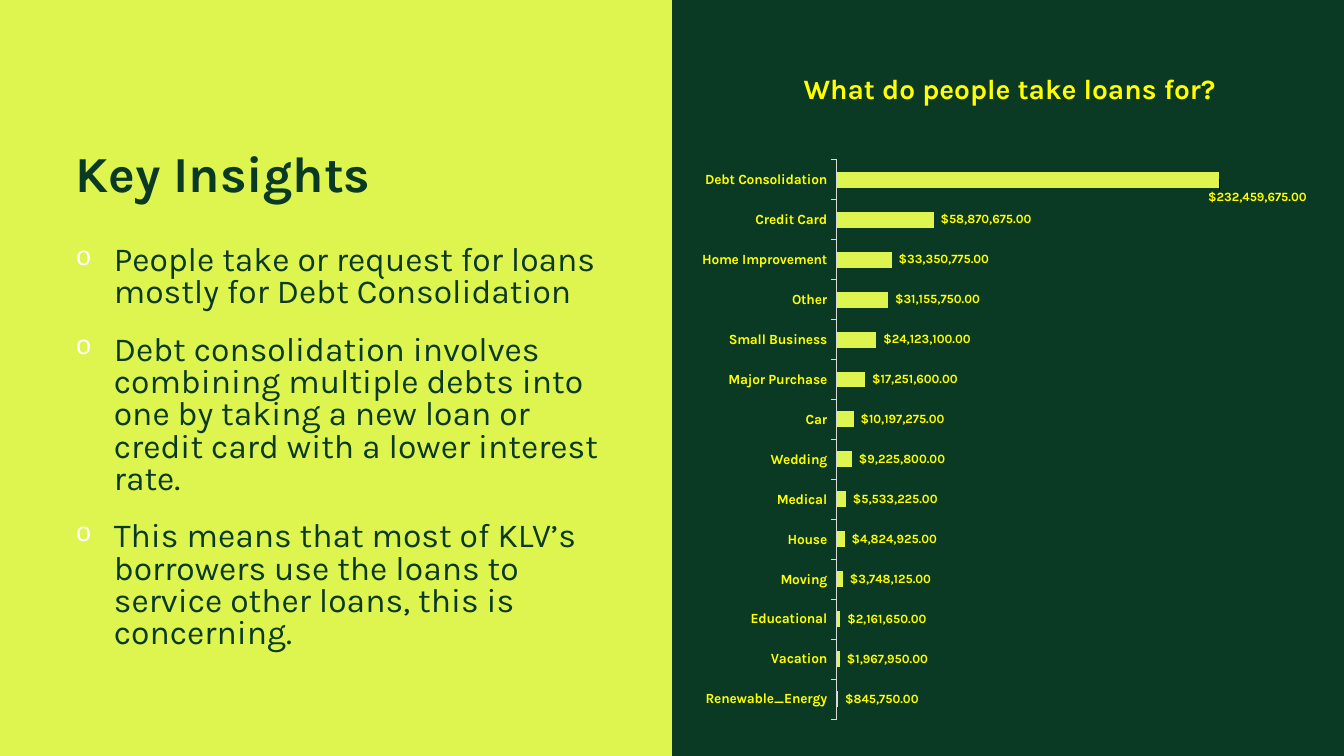
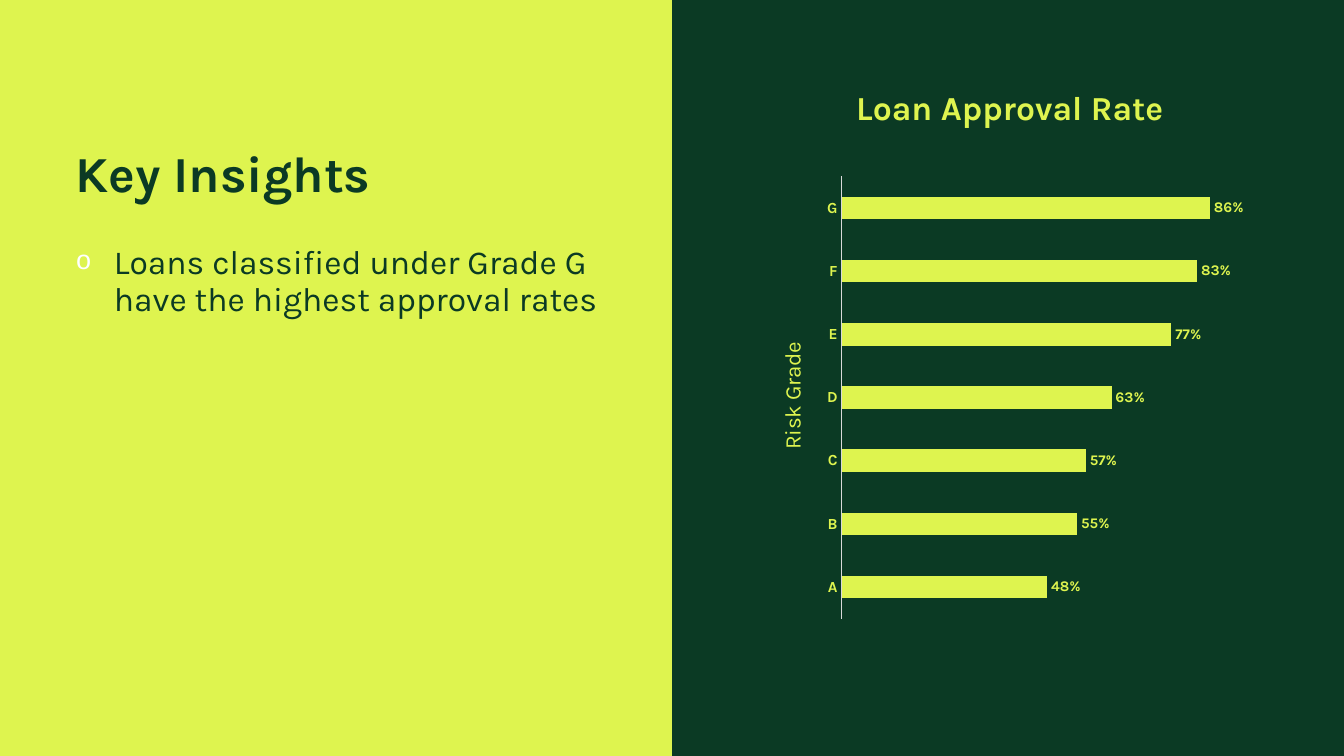
from dataclasses import dataclass

import pptx
import pptx.chart.data
import pptx.dml.color
import pptx.enum.chart
import pptx.enum.shapes
import pptx.enum.text
import pptx.oxml
import pptx.oxml.ns
import pptx.util
from pptx.util import Inches, Pt

Box = tuple[float, float, float, float]
CENTER = pptx.enum.text.PP_ALIGN.CENTER
LEFT = pptx.enum.text.PP_ALIGN.LEFT
ANCHOR = pptx.enum.text.MSO_ANCHOR
OUT_END = pptx.enum.chart.XL_LABEL_POSITION.OUTSIDE_END
TICK = pptx.enum.chart.XL_TICK_MARK


@dataclass(frozen=True)
class Theme:
    font: str = "Karla"
    dark: str = "0B3A24"
    lime: str = "DEF44F"
    yellow: str = "FFFF00"
    white: str = "FFFFFF"
    rule: str = "D9D9D9"
    title: float = 36
    body: float = 24
    axis: float = 16


@dataclass(frozen=True)
class Style:
    size: float
    color: str
    bold: bool = False


@dataclass(frozen=True)
class Nudge:
    """Moves one point's label by fractions of the chart size."""
    point: int
    x: float
    y: float


@dataclass(frozen=True)
class Bars:
    box: Box
    plot: Box
    rows: dict[str, float]
    top: float
    gap: int
    form: str
    tick: TICK
    names: Style
    values: Style
    axis: str = ""
    nudge: Nudge | None = None


@dataclass(frozen=True)
class Page:
    points: list[str]
    space: float
    head: str
    head_box: Box
    head_style: Style
    bars: Bars


THEME = Theme()
MONEY = '_("$"* #,##0.00_);_("$"* \\(#,##0.00\\)'

PAGES = [
    Page(
        points=[
            "People take or request for loans mostly for Debt Consolidation",
            "Debt consolidation involves combining multiple debts into one by "
            "taking a new loan or credit card with a lower interest rate.",
            "This means that most of KLV’s borrowers use the loans to service "
            "other loans, this is concerning.",
        ],
        space=0.8,
        head="What do people take loans for?",
        head_box=(7.33, 0.13, 5.37, 1.53),
        head_style=Style(20, THEME.yellow, True),
        bars=Bars(
            box=(6.94, 1.47, 6.05, 5.78),
            plot=(0.23, 0.02, 0.69, 0.96),
            rows={
                "Renewable_Energy": 845750,
                "Vacation": 1967950,
                "Educational": 2161650,
                "Moving": 3748125,
                "House": 4824925,
                "Medical": 5533225,
                "Wedding": 9225800,
                "Car": 10197275,
                "Major Purchase": 17251600,
                "Small Business": 24123100,
                "Other": 31155750,
                "Home Improvement": 33350775,
                "Credit Card": 58870675,
                "Debt Consolidation": 232459675,
            },
            top=250_000_000,
            gap=150,
            form=MONEY,
            tick=TICK.OUTSIDE,
            names=Style(10, THEME.yellow, True),
            values=Style(9, THEME.yellow, True),
            nudge=Nudge(13, -0.03, 0.03),
        ),
    ),
    Page(
        points=["Loans classified under Grade G have the highest approval rates"],
        space=0.9,
        head="Loan Approval Rate",
        head_box=(7.33, 0.52, 5.37, 1.14),
        head_style=Style(24, THEME.lime, True),
        bars=Bars(
            box=(7.52, 1.66, 5.18, 4.57),
            plot=(0.16, 0.02, 0.82, 0.96),
            rows={"A": 0.48, "B": 0.55, "C": 0.57, "D": 0.63,
                  "E": 0.77, "F": 0.83, "G": 0.86},
            top=1,
            gap=182,
            form="0%",
            tick=TICK.NONE,
            names=Style(11, THEME.lime, True),
            values=Style(10.5, THEME.lime, True),
            axis="Risk Grade",
        ),
    ),
]


def rgb(color: str) -> pptx.dml.color.RGBColor:
    return pptx.dml.color.RGBColor.from_string(color)


def inches(box: Box) -> list[pptx.util.Length]:
    return [Inches(side) for side in box]


def paint(fill, color: str) -> None:
    fill.solid()
    fill.fore_color.rgb = rgb(color)


def dress(font, style: Style) -> None:
    font.name = THEME.font
    font.size = Pt(style.size)
    font.bold = style.bold
    font.color.rgb = rgb(style.color)


def frame(shape, anchor: ANCHOR):
    """Strip the margins of a text shape and let it wrap."""
    text = shape.text_frame
    text.margin_left = text.margin_top = text.margin_right = text.margin_bottom = 0
    text.word_wrap = True
    text.auto_size = pptx.enum.text.MSO_AUTO_SIZE.NONE
    text.vertical_anchor = anchor
    return text


def write(para, words: str, style: Style, space: float = 0.9,
          before: float = 0, align=LEFT) -> None:
    para.alignment = align
    para.line_spacing = space
    para.space_before = Pt(before)
    run = para.add_run()
    run.text = words
    dress(run.font, style)


def bullet(para) -> None:
    props = para._p.get_or_add_pPr()
    props.set("marL", str(Inches(0.38)))
    props.set("indent", str(-Inches(0.38)))
    space = pptx.oxml.ns.nsdecls("a")
    for mark in (
        f'<a:buClr {space}><a:srgbClr val="{THEME.white}"/></a:buClr>',
        f'<a:buSzPct {space} val="80000"/>',
        f'<a:buFont {space} typeface="Courier New"/>',
        f'<a:buChar {space} char="o"/>',
    ):
        props.append(pptx.oxml.parse_xml(mark))


def place(parent, index: int, inner: bool = False, **sides: float) -> None:
    """Give a chart part a manual layout, in fractions of the chart."""
    for old in parent.findall(pptx.oxml.ns.qn("c:layout")):
        parent.remove(old)
    parts = '<c:layoutTarget val="inner"/>' if inner else ""
    if inner or parent.tag == pptx.oxml.ns.qn("c:title"):
        parts += '<c:xMode val="edge"/><c:yMode val="edge"/>'
    parts += "".join(f'<c:{side} val="{size}"/>' for side, size in sides.items())
    parent.insert(index, pptx.oxml.parse_xml(
        f'<c:layout {pptx.oxml.ns.nsdecls("c")}>'
        f"<c:manualLayout>{parts}</c:manualLayout></c:layout>"))


def shift(series, bars: Bars) -> None:
    """Move the one label that would leave the chart."""
    label = series.points[bars.nudge.point].data_label
    dress(label.font, bars.values)
    label.position = OUT_END
    node = series.data_labels._element.find(pptx.oxml.ns.qn("c:dLbl"))
    place(node, 1, x=bars.nudge.x, y=bars.nudge.y)
    form = pptx.oxml.parse_xml(f'<c:numFmt {pptx.oxml.ns.nsdecls("c")} sourceLinked="0"/>')
    form.set("formatCode", bars.form)
    node.insert(2, form)


def name_axis(axis, words: str) -> None:
    text = axis.axis_title.text_frame
    run = text.paragraphs[0].add_run()
    run.text = words
    dress(run.font, Style(THEME.axis, THEME.lime))
    body = text._txBody.bodyPr
    body.set("rot", "-5400000")
    body.set("vert", "horz")
    place(axis.axis_title._element, 1, x=0.03, y=0.37)


def add_bars(slide, bars: Bars) -> None:
    data = pptx.chart.data.CategoryChartData(number_format=bars.form)
    data.categories = list(bars.rows)
    data.add_series("Series 1", list(bars.rows.values()))
    kind = pptx.enum.chart.XL_CHART_TYPE.BAR_CLUSTERED
    chart = slide.shapes.add_chart(kind, *inches(bars.box), data).chart
    chart.has_title = chart.has_legend = False
    dress(chart.font, bars.names)
    x, y, w, h = bars.plot
    place(chart._chartSpace.chart.plotArea, 0, inner=True, x=x, y=y, w=w, h=h)

    cats, vals = chart.category_axis, chart.value_axis
    cats.major_tick_mark = bars.tick
    cats.minor_tick_mark = TICK.NONE
    cats.format.line.color.rgb = rgb(THEME.rule)
    cats.format.line.width = Pt(0.75)
    dress(cats.tick_labels.font, bars.names)
    if bars.axis:
        name_axis(cats, bars.axis)
    vals.visible = vals.has_major_gridlines = False
    vals.minimum_scale, vals.maximum_scale = 0, bars.top

    plot = chart.plots[0]
    plot.gap_width = bars.gap
    plot.vary_by_categories = False
    series = plot.series[0]
    paint(series.format.fill, THEME.lime)
    labels = series.data_labels
    labels.show_value = True
    labels.position = OUT_END
    labels.number_format = bars.form
    labels.number_format_is_linked = False
    dress(labels.font, bars.values)
    if bars.nudge:
        shift(series, bars)


def add_page(deck, page: Page) -> None:
    slide = deck.slides.add_slide(deck.slide_layouts[5])
    paint(slide.background.fill, THEME.dark)
    title = slide.shapes.title
    title.left, title.top, title.width, title.height = inches((0.75, 0.04, 5.65, 1.98))
    write(frame(title, ANCHOR.BOTTOM).paragraphs[0], "Key Insights",
          Style(THEME.title, THEME.dark, True))

    rect = pptx.enum.shapes.MSO_SHAPE.RECTANGLE
    panel = slide.shapes.add_shape(rect, 0, 0, deck.slide_width // 2, deck.slide_height)
    panel.shadow.inherit = False
    paint(panel.fill, THEME.lime)
    panel.line.fill.background()
    title._element.addprevious(panel._element)

    head = slide.shapes.add_textbox(*inches(page.head_box))
    write(frame(head, ANCHOR.MIDDLE).paragraphs[0], page.head, page.head_style,
          before=18, align=CENTER)

    body = frame(slide.shapes.add_textbox(*inches((0.75, 2.44, 5.37, 4.16))), ANCHOR.TOP)
    for rank, point in enumerate(page.points):
        para = body.add_paragraph() if rank else body.paragraphs[0]
        write(para, point, Style(THEME.body, THEME.dark), page.space, 18)
        bullet(para)
    add_bars(slide, page.bars)


def main() -> None:
    deck = pptx.Presentation()
    deck.slide_width, deck.slide_height = Inches(13.33), Inches(7.5)
    for page in PAGES:
        add_page(deck, page)
    deck.save("out.pptx")


if __name__ == "__main__":
    main()
